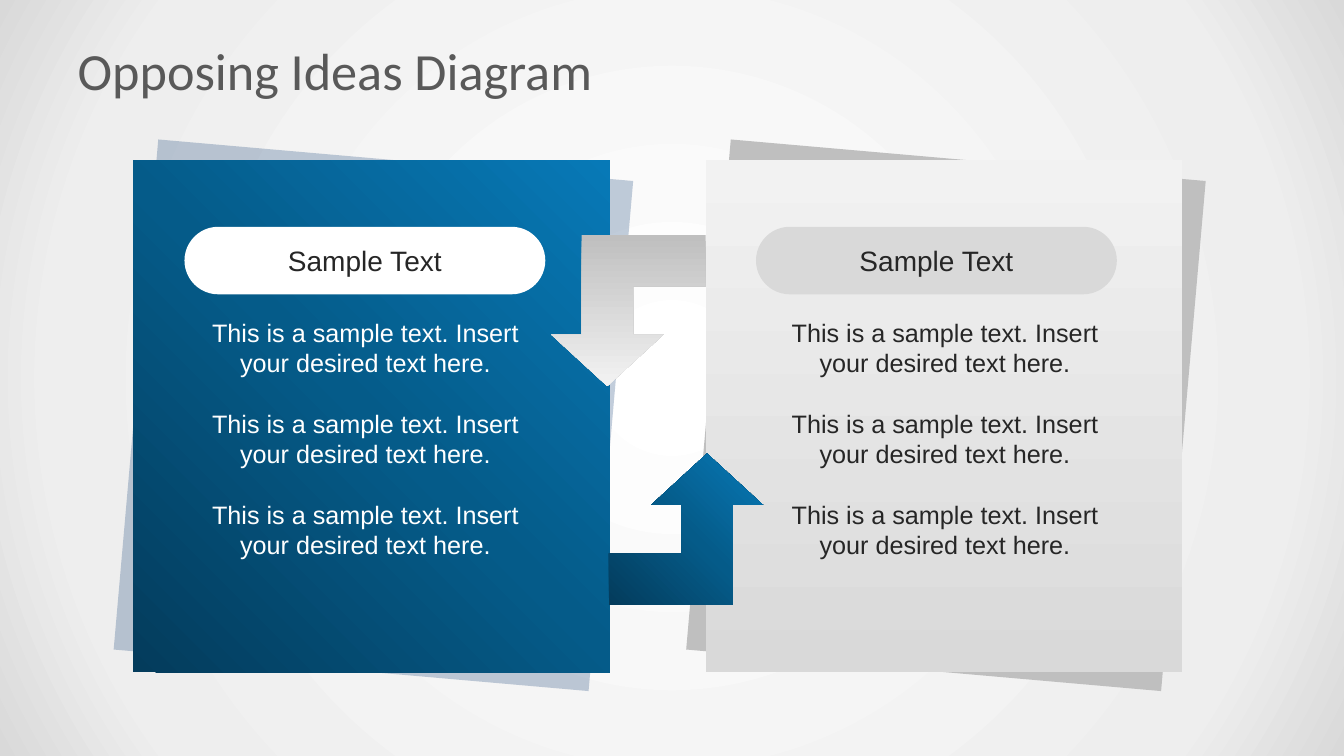
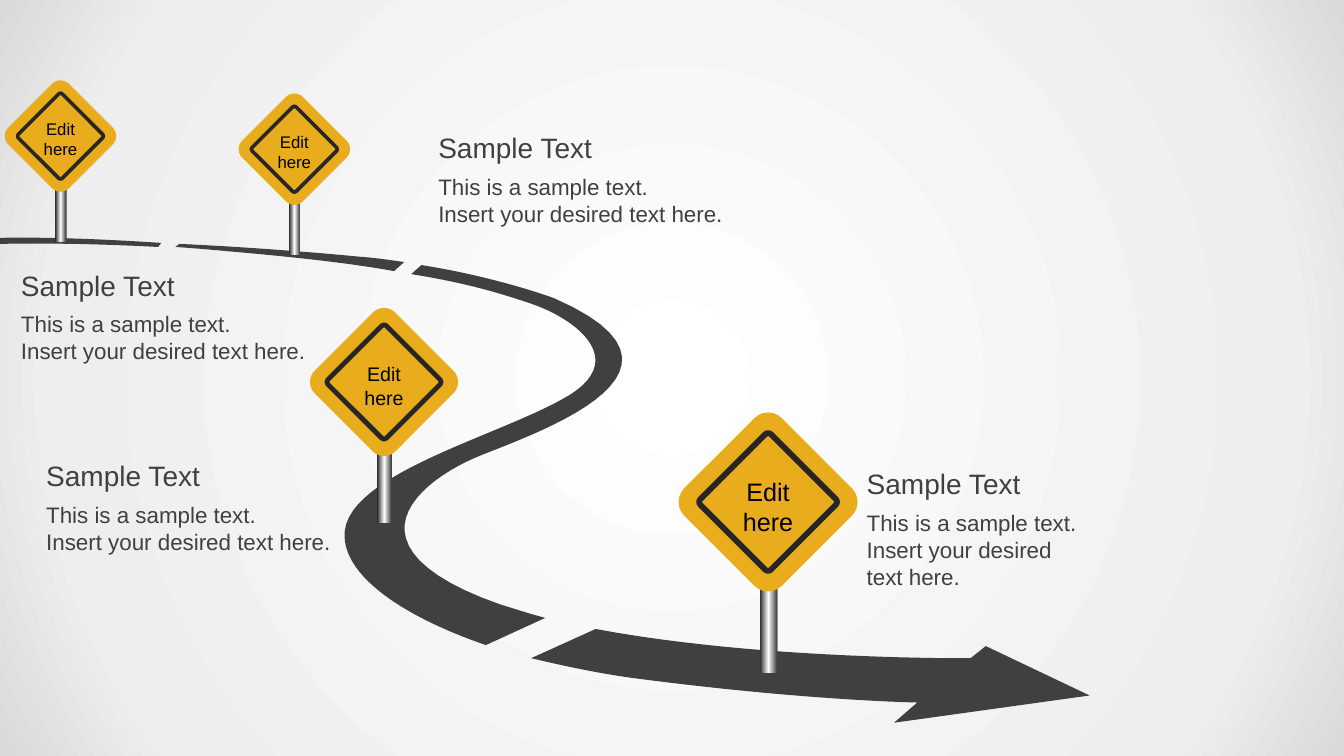
from lxml.etree import SubElement
from pptx import Presentation
from pptx.dml.color import RGBColor
from pptx.enum.shapes import MSO_SHAPE
from pptx.enum.text import MSO_ANCHOR, PP_ALIGN
from pptx.oxml.ns import qn
from pptx.util import Emu, Pt

presentation = Presentation()
presentation.slide_width, presentation.slide_height = Emu(12192000), Emu(6858000)

# Grid of square cells: 13 1/3 columns by 7 1/2 rows
CELL = presentation.slide_height * 2 // 15

# Shared colours and text formats
DARK, ASPHALT, WHITE, SILVER = "262626", "404040", "FFFFFF", "D9D9D9"
SIGN_YELLOW = "E9AC1C"
BLUES = [(0, "043C5C"), (50, "055B89"), (100, "0779B7")]
METAL = [(0, DARK), (50, WHITE), (100, ASPHALT)]
BACKDROP = [(0, WHITE), (81, "EEEEEE"), (100, SILVER)]
HEADING = {"name": "Arial", "size": Pt(20)}
PANEL_BODY = {"name": "Arial", "size": Pt(18)}
LABEL_BODY = {"name": "Arial", "size": Pt(16)}
SAMPLE = "This is a sample text."
INSERT = "Insert your desired text here."


def paint(item, colours, angle=None, opacity=None, line=None):
    """Fill a shape or a master; a list of stops makes a gradient."""
    is_shape = hasattr(item, "shadow")
    fill = item.fill if is_shape else item.background.fill
    if is_shape:
        item.shadow.inherit = False
        item.line.fill.background()
        if line:
            item.line.color.rgb = RGBColor.from_string(line)
    if colours is None:
        fill.background()
    elif isinstance(colours, str):
        fill.solid()
        fill.fore_color.rgb = RGBColor.from_string(colours)
        if opacity:
            colour = next(item.element.iter(qn("a:srgbClr")))
            SubElement(colour, qn("a:alpha"), val=str(opacity * 1000))
    else:
        fill.gradient()
        gradient = next(item.element.iter(qn("a:gradFill")))
        for child in list(gradient):
            gradient.remove(child)
        gradient.set("rotWithShape", "1")
        stops = SubElement(gradient, qn("a:gsLst"))
        for position, colour in colours:
            stop = SubElement(stops, qn("a:gs"), pos=str(position * 1000))
            SubElement(stop, qn("a:srgbClr"), val=colour)
        if angle is None:
            circle = SubElement(gradient, qn("a:path"), path="circle")
            SubElement(circle, qn("a:fillToRect"),
                       l="50000", t="50000", r="50000", b="50000")
        else:
            SubElement(gradient, qn("a:lin"), ang=str(angle * 60000), scaled="0")


def write(shape, lines, formats, colour, alignment=PP_ALIGN.LEFT, anchor=MSO_ANCHOR.TOP):
    """Put one paragraph per line into a shape."""
    frame = shape.text_frame
    frame.text = "\n".join(lines)
    frame.word_wrap = True
    frame.vertical_anchor = anchor
    for paragraph in frame.paragraphs:
        paragraph.alignment = alignment
        for name, value in formats.items():
            setattr(paragraph.font, name, value)
        paragraph.font.color.rgb = RGBColor.from_string(colour)


paint(presentation.slide_master, BACKDROP)

# Slide 1: two opposing panels
slide = presentation.slides.add_slide(presentation.slide_layouts[5])
title = slide.shapes.title
place = {"left": 0.67, "top": 0.3, "width": 12, "height": 0.78}
for name, value in place.items():
    setattr(title, name, int(value * CELL))
write(title, ["Opposing Ideas Diagram"], {"name": "Calibri", "size": Pt(37.3)},
      "595959", anchor=MSO_ANCHOR.MIDDLE)

# Panel left, text left, pill left, colours of back sheet, panel, pill and text
panels = [
    (1.32, 2, 1.83, ("1F497D", 27), (BLUES, 315), WHITE, WHITE),
    (7, 7.75, 7.5, ("BFBFBF", None), ([(0, SILVER), (100, "F2F2F2")], 270), SILVER, DARK),
]
for left, text_left, pill_left, back, front, pill_colour, text_colour in panels:
    shapes = slide.shapes.add_group_shape().shapes
    sheet = shapes.add_shape(MSO_SHAPE.RECTANGLE, int((left + 0.02) * CELL),
                             int(1.58 * CELL), int(4.73 * CELL), int(5.08 * CELL))
    sheet.rotation = 5
    paint(sheet, back[0], opacity=back[1])
    panel = shapes.add_shape(MSO_SHAPE.RECTANGLE, int(left * CELL),
                             int(1.59 * CELL), int(4.73 * CELL), int(5.08 * CELL))
    paint(panel, front[0], angle=front[1])
    for row in range(3):
        box = shapes.add_textbox(int(text_left * CELL), int((3.1 + row * 0.9) * CELL),
                                 int(3.25 * CELL), int(0.71 * CELL))
        write(box, [f"{SAMPLE} {INSERT}"], PANEL_BODY, text_colour, PP_ALIGN.CENTER)
    pill = shapes.add_shape(MSO_SHAPE.ROUNDED_RECTANGLE, int(pill_left * CELL),
                            int(2.25 * CELL), int(3.58 * CELL), int(0.67 * CELL))
    pill.adjustments[0] = 0.5
    paint(pill, pill_colour)
    write(pill, ["Sample Text"], HEADING, DARK, PP_ALIGN.CENTER, MSO_ANCHOR.MIDDLE)

# Bent arrows between the panels
arrows = [
    (6.04, 4.5, 0, BLUES, 315),
    (5.47, 2.33, 180, [(0, "BFBFBF"), (100, "F2F2F2")], 270),
]
for left, top, rotation, colours, angle in arrows:
    arrow = slide.shapes.add_shape(MSO_SHAPE.BENT_UP_ARROW, int(left * CELL),
                                   int(top * CELL), int(1.53 * CELL), int(1.5 * CELL))
    for index, share in enumerate((0.34, 0.37, 0.34)):
        arrow.adjustments[index] = share
    arrow.rotation = rotation
    paint(arrow, colours, angle=angle)

# Slide 2: road with signs
slide = presentation.slides.add_slide(presentation.slide_layouts[6])

# Road pieces: a start point, then line ends (2 numbers) or curves (6 numbers)
road = [
    [(4.97, 6), (3.34, 5.43, 4.15, 4.76, 4.79, 4.51), (5.42, 4.26, 7.1, 3.66, 5.5, 2.96),
     (5.5, 2.96, 4.94, 2.75, 4.18, 2.63), (4.08, 2.72),
     (4.64, 2.81, 4.96, 2.91, 5.26, 3.01), (5.76, 3.18, 6.25, 3.6, 5.58, 3.96),
     (4.92, 4.33, 3.48, 4.7, 3.42, 5.27), (3.38, 5.67, 3.92, 6.09, 4.82, 6.4),
     (5.41, 6.13), (5.25, 6.09, 5.11, 6.04, 4.97, 6)],
    [(0, 2.36), (0, 2.42), (0, 2.42, 0.61, 2.4, 1.57, 2.45), (1.6, 2.41),
     (1, 2.37, 0.42, 2.35, 0, 2.36)],
    [(3.6, 2.55), (3.08, 2.5, 2.43, 2.45, 1.78, 2.42), (1.74, 2.45),
     (2.03, 2.47, 2.34, 2.5, 2.67, 2.53), (3.18, 2.58, 3.58, 2.63, 3.91, 2.69),
     (4.01, 2.6), (3.87, 2.58, 3.74, 2.56, 3.6, 2.55)],
    [(10.81, 6.9), (9.78, 6.41), (9.63, 6.53), (9.63, 6.53, 7.55, 6.55, 5.91, 6.24),
     (5.27, 6.53), (5.56, 6.6, 5.89, 6.67, 6.23, 6.72),
     (7.95, 6.95, 9.1, 6.97, 9.1, 6.97), (8.87, 7.17)],
]
STEPS = 24
for start, *segments in road:
    outline = [start]
    for segment in segments:
        if len(segment) == 2:
            outline.append(segment)
            continue
        controls = [outline[-1], segment[:2], segment[2:4], segment[4:]]
        for step in range(1, STEPS + 1):
            t = step / STEPS
            weights = ((1 - t) ** 3, 3 * t * (1 - t) ** 2, 3 * t ** 2 * (1 - t), t ** 3)
            outline.append(tuple(sum(weight * point[axis] for weight, point
                                     in zip(weights, controls)) for axis in (0, 1)))
    points = [(int(x * CELL), int(y * CELL)) for x, y in outline]
    builder = slide.shapes.build_freeform(*points[0])
    builder.add_line_segments(points[1:], close=True)
    paint(builder.convert_to_shape(), ASPHALT)

# Labels: left, top, width
labels = [(8.5, 4.58, 2.43), (0.36, 4.5, 3.55), (4.25, 1.25, 4.37), (0.11, 2.61, 3.36)]
for left, top, width in labels:
    for offset, height, lines, formats in (
            (0.42, 0.64, [SAMPLE, INSERT], LABEL_BODY),
            (0, 0.44, ["Sample Text"], HEADING)):
        box = slide.shapes.add_textbox(int(left * CELL), int((top + offset) * CELL),
                                       int(width * CELL), int(height * CELL))
        write(box, lines, formats, ASPHALT)

# Signs: centre across, centre down, span, text size; parts are shares of the span
signs = [(7.62, 4.98, 1.8, 18), (3.81, 3.79, 1.49, 14),
         (2.92, 1.48, 1.12, 12), (0.6, 1.35, 1.12, 12)]
for centre_x, centre_y, span, size in signs:
    shapes = slide.shapes.add_group_shape().shapes
    post = shapes.add_shape(MSO_SHAPE.RECTANGLE, int((centre_x - 0.045 * span) * CELL),
                            int((centre_y + 0.47 * span) * CELL),
                            int(0.095 * span * CELL), int(0.47 * span * CELL))
    paint(post, METAL, angle=0)
    for side, rounding, colour, line in ((0.76, 0.14, SIGN_YELLOW, None),
                                         (0.55, 0.04, None, DARK)):
        corner = [int((centre - side * span / 2) * CELL) for centre in (centre_x, centre_y)]
        board = shapes.add_shape(MSO_SHAPE.ROUNDED_RECTANGLE, *corner,
                                 int(side * span * CELL), int(side * span * CELL))
        board.adjustments[0] = rounding
        board.rotation = 45
        paint(board, colour, line=line)
        if line:
            board.line.width = Pt(round(2.3 * span, 2))
    box = shapes.add_textbox(int((centre_x - 0.435 * span) * CELL),
                             int((centre_y - 0.175 * span) * CELL),
                             int(0.87 * span * CELL), int(0.4 * span * CELL))
    write(box, ["Edit", "here"], {"name": "Arial", "size": Pt(size)}, "000000",
          PP_ALIGN.CENTER, MSO_ANCHOR.MIDDLE)

presentation.save("out.pptx")
